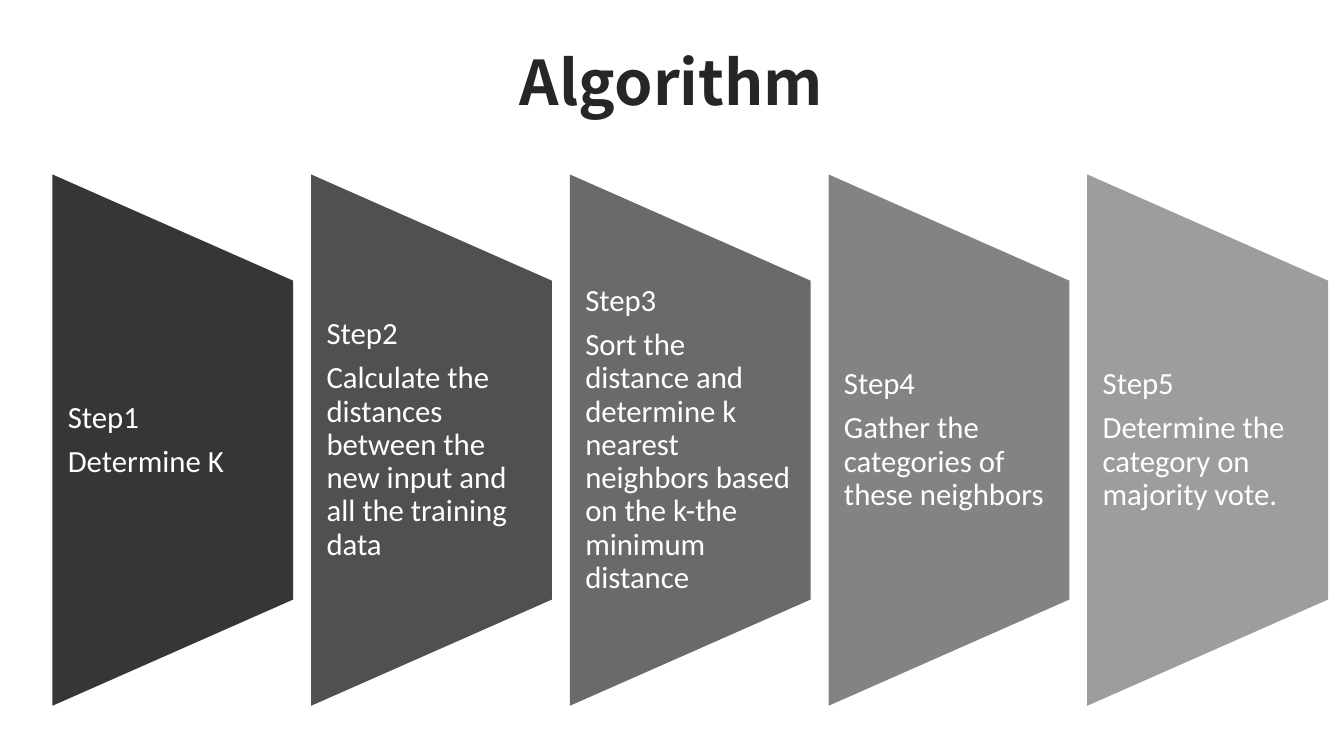
from pptx import Presentation
from pptx.dml.color import RGBColor
from pptx.enum.shapes import MSO_SHAPE
from pptx.enum.text import MSO_ANCHOR, MSO_AUTO_SIZE, PP_ALIGN
from pptx.util import Cm, Pt

INK = RGBColor(0x26, 0x26, 0x26)
WHITE = RGBColor(0xFF, 0xFF, 0xFF)
STEPS = [
    ("Determine K", RGBColor(0x36, 0x36, 0x36)),
    ("Calculate the distances between the new input and all the training data",
     RGBColor(0x50, 0x50, 0x50)),
    ("Sort the distance and determine k nearest neighbors based on the k-the minimum distance",
     RGBColor(0x6A, 0x6A, 0x6A)),
    ("Gather the categories of these neighbors", RGBColor(0x83, 0x83, 0x83)),
    ("Determine the category on majority vote.", RGBColor(0x9D, 0x9D, 0x9D)),
]
FIRST_LEFT, STEP_PITCH, STEP_WIDTH = 1.32, 6.52, 6.07
STEP_HEIGHT, STEP_MIDDLE = 13.39, 11.09
TEXT_HEIGHT = 8.03


class AlgorithmSlide:
    title_font = "Noto Sans CJK SC"
    body_font = "Calibri"

    def __init__(self, deck):
        self.slide = deck.slides.add_slide(deck.slide_layouts[5])

    def add_span(self, para, text, font, size, color, bold=False):
        para.line_spacing = 0.9
        span = para.add_run()
        span.text = text
        span.font.name = font
        span.font.size = Pt(size)
        span.font.bold = bold
        span.font.color.rgb = color

    def title(self, text):
        box = self.slide.shapes.title
        box.left, box.top, box.width, box.height = Cm(4.6), Cm(1.04), Cm(24.66), Cm(2.21)
        frame = box.text_frame
        frame.auto_size = MSO_AUTO_SIZE.NONE
        frame.vertical_anchor = MSO_ANCHOR.MIDDLE
        para = frame.paragraphs[0]
        para.alignment = PP_ALIGN.CENTER
        self.add_span(para, text, self.title_font, 44, INK, bold=True)

    def trapezoid(self, left, color):
        """Draw a step's panel, turned so its long side faces left."""
        panel = self.slide.shapes.add_shape(
            MSO_SHAPE.FLOWCHART_MANUAL_OPERATION,
            Cm(left + (STEP_WIDTH - STEP_HEIGHT) / 2), Cm(STEP_MIDDLE - STEP_WIDTH / 2),
            Cm(STEP_HEIGHT), Cm(STEP_WIDTH))
        panel.rotation = 270
        panel.shadow.inherit = False
        panel.fill.solid()
        panel.fill.fore_color.rgb = color
        panel.line.fill.background()

    def step_text(self, left, lines):
        box = self.slide.shapes.add_textbox(
            Cm(left), Cm(STEP_MIDDLE - TEXT_HEIGHT / 2), Cm(STEP_WIDTH), Cm(TEXT_HEIGHT))
        frame = box.text_frame
        frame.word_wrap = True
        frame.vertical_anchor = MSO_ANCHOR.MIDDLE
        frame.margin_left, frame.margin_right = Cm(0.39), Cm(0.4)
        frame.margin_top = frame.margin_bottom = 0
        for index, line in enumerate(lines):
            para = frame.add_paragraph() if index else frame.paragraphs[0]
            para.space_after = Pt(7.7)
            self.add_span(para, line, self.body_font, 22, WHITE)


def main():
    deck = Presentation()
    deck.slide_width, deck.slide_height = Cm(33.87), Cm(19.05)
    page = AlgorithmSlide(deck)
    page.title("Algorithm")
    for index, (action, color) in enumerate(STEPS):
        left = FIRST_LEFT + index * STEP_PITCH
        page.trapezoid(left, color)
        page.step_text(left, [f"Step{index + 1}", action])
    deck.save("out.pptx")


if __name__ == "__main__":
    main()
